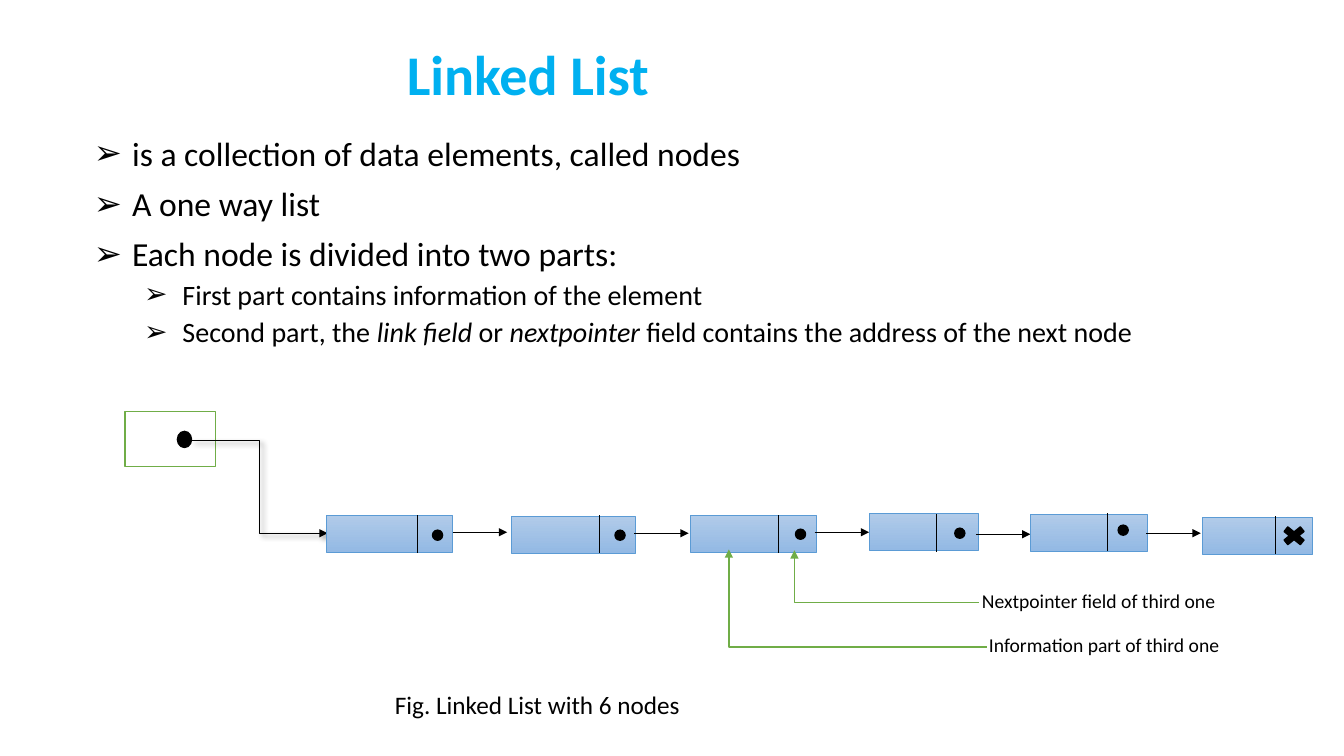
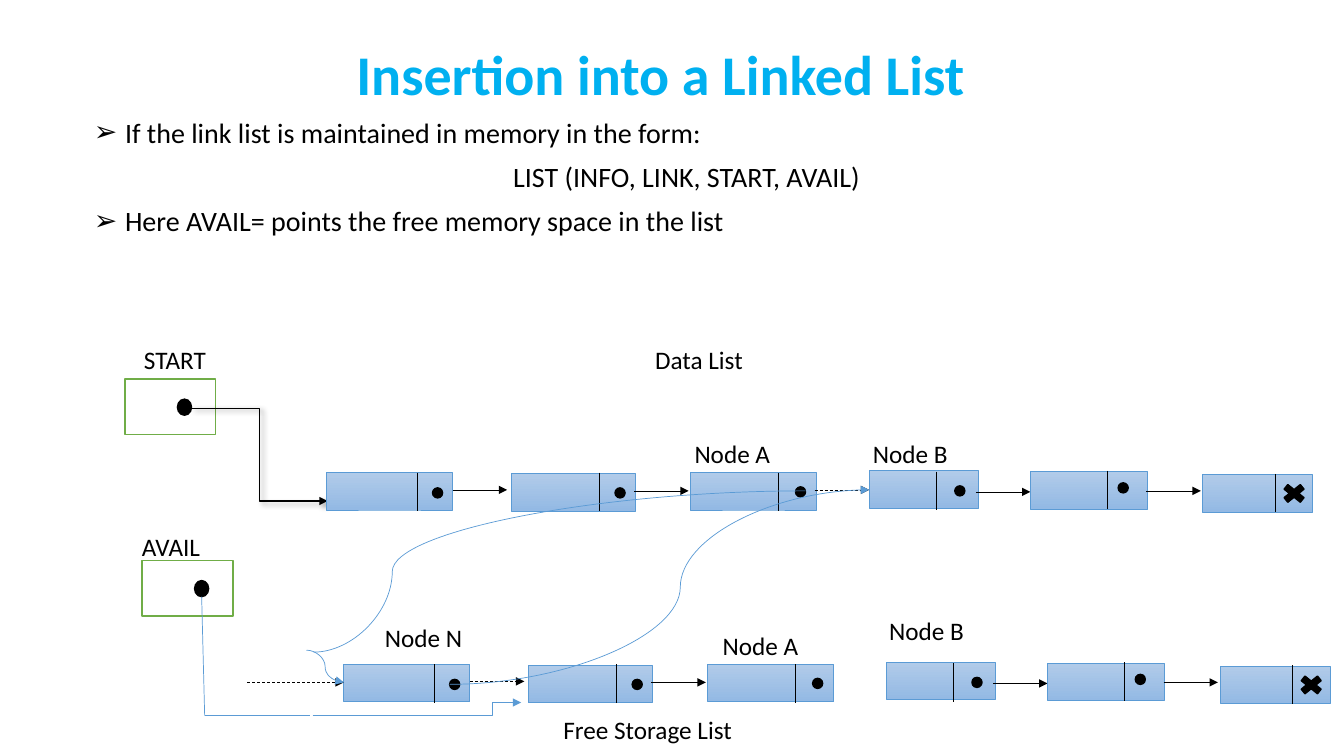
from dataclasses import dataclass

from lxml import etree
from pptx import Presentation
from pptx.dml.color import RGBColor
from pptx.enum.dml import MSO_LINE
from pptx.enum.shapes import MSO_CONNECTOR as Connector, MSO_SHAPE as Shape
from pptx.enum.text import MSO_ANCHOR as Anchor, MSO_AUTO_SIZE as AutoSize, PP_ALIGN as Align
from pptx.oxml.ns import qn
from pptx.util import Inches, Pt

FONT = "Calibri"
COLORS = {
    "title": "00B0F0",
    "ink": "000000",
    "paper": "FFFFFF",
    "green": "70AD47",
    "blue": "5B9BD5",
    "node_top": "B1CBE9",
    "node_bottom": "93B9E4",
}


@dataclass
class Node:
    left: float
    width: float
    rise: float  # offsets below are from the top of the chain
    divider: float
    divider_top: float
    dot: float = 0
    dot_top: float = 0
    arrow: float = 0
    arrow_top: float = 0


NODES = [
    Node(3.24, 1.25, 0, 4.14, 0, 4.29, 0.15, 4.49, 0.17),
    Node(5.07, 1.23, 0.01, 5.94, 0, 6.1, 0.15, 6.29, 0.18),
    Node(6.85, 1.25, 0, 7.72, 0, 7.89, 0.14, 8.08, 0.17),
    Node(8.62, 1.08, -0.02, 9.29, -0.01, 9.47, 0.13, 9.68, 0.19),
    Node(10.22, 1.16, -0.01, 10.98, -0.02, 11.09, 0.1, 11.37, 0.18),
    Node(11.93, 1.09, 0.02, 12.65, 0.01),
]
NODE_HEIGHT = 0.37
DIVIDER_HEIGHT = 0.38
ARROW_LENGTH = 0.54


def color(name):
    return RGBColor.from_string(COLORS[name])


def add_element(parent, tag, **attributes):
    element = etree.SubElement(parent, qn(tag))
    for key, value in attributes.items():
        element.set(key, str(value))
    return element


def style_runs(para, size, ink="ink", bold=False):
    for run in para.runs:
        run.font.name = FONT
        run.font.size = Pt(size)
        run.font.bold = bold
        run.font.color.rgb = color(ink)


def place(shape, left, top, width, height):
    shape.left, shape.top = Inches(left), Inches(top)
    shape.width, shape.height = Inches(width), Inches(height)


# Text
def add_slide(deck, title, title_width):
    slide = deck.slides.add_slide(deck.slide_layouts[0])
    box = slide.shapes.title
    place(box, 0.83, 0.31, title_width, 0.81)
    frame = box.text_frame
    frame.text = title
    frame.auto_size = AutoSize.NONE
    frame.vertical_anchor = Anchor.BOTTOM
    para = frame.paragraphs[0]
    para.alignment = Align.CENTER
    para.line_spacing = 0.9
    style_runs(para, 40, "title", True)
    return slide


def fill_body(slide, top, height, lines):
    """Each line is (text, level, size, indent); words between asterisks are italic.

    A line without an indent is centred and has no bullet.
    """
    body = slide.placeholders[1]
    place(body, 0.83, top, 11.96, height)
    frame = body.text_frame
    frame.auto_size = AutoSize.NONE
    frame.vertical_anchor = Anchor.TOP
    for index, (text, level, size, indent) in enumerate(lines):
        para = frame.add_paragraph() if index else frame.paragraphs[0]
        para.level = level
        props = para._p.get_or_add_pPr()
        props.set("marL", str(Inches(indent + 0.5 * level)))
        props.set("indent", str(Inches(-indent)))
        if indent:
            add_element(props, "a:buChar", char="➢")
        else:
            add_element(props, "a:buNone")
        para.alignment = Align.JUSTIFY if indent else Align.CENTER
        para.line_spacing = 0.9
        para.space_before = Pt((5 if level else 10) if index else 0)
        for part, words in enumerate(text.split("*")):
            run = para.add_run()
            run.text = words
            run.font.italic = part % 2 == 1
        style_runs(para, size)


def add_label(slide, text, left, top, width=1, size=18, align=Align.LEFT, anchor=Anchor.TOP):
    box = slide.shapes.add_textbox(Inches(left), Inches(top), Inches(width), Inches(0.4))
    frame = box.text_frame
    frame.word_wrap = True
    frame.vertical_anchor = anchor
    frame.text = text
    frame.paragraphs[0].alignment = align
    style_runs(frame.paragraphs[0], size)


# Shapes and lines
def add_box(slide, kind, left, top, width, height, fill="ink", line="ink", weight=1):
    shape = slide.shapes.add_shape(
        kind, Inches(left), Inches(top), Inches(width), Inches(height))
    shape.shadow.inherit = False
    if fill == "gradient":
        shape.fill.gradient()
        shape.fill.gradient_angle = 270
        for stop, name in zip(shape.fill.gradient_stops, ("node_top", "node_bottom")):
            stop.color.rgb = color(name)
    else:
        shape.fill.solid()
        shape.fill.fore_color.rgb = color(fill)
    shape.line.color.rgb = color(line)
    shape.line.width = Pt(weight)


def add_line(slide, start, end, kind=Connector.STRAIGHT, ink="ink", weight=0.5,
             arrow=False, dashed=False, bend=None, corner=False, shadow=False):
    x1, y1, x2, y2 = (Inches(value) for value in (*start, *end))
    line = slide.shapes.add_connector(kind, x1, y1, x2, y2)
    line.line.color.rgb = color(ink)
    line.line.width = Pt(weight)
    if dashed:
        line.line.dash_style = MSO_LINE.DASH
    props = line._element.spPr
    if arrow:
        add_element(props.find(qn("a:ln")), "a:tailEnd", type="triangle")
    geometry = props.find(qn("a:prstGeom"))
    if corner:
        geometry.set("prst", "bentConnector2")
    if bend is not None:
        guides = geometry.find(qn("a:avLst"))
        if guides is None:
            guides = add_element(geometry, "a:avLst")
        add_element(guides, "a:gd", name="adj1", fmla=f"val {round(bend * 100000)}")
    effects = add_element(props, "a:effectLst")
    if shadow:
        cast = add_element(effects, "a:outerShdw", blurRad=Pt(4), dist=Pt(3),
                           dir=45 * 60000, rotWithShape=0)
        add_element(add_element(cast, "a:srgbClr", val=COLORS["ink"]), "a:alpha", val=40000)


# Linked list parts
def add_pointer(slide, left, top):
    add_box(slide, Shape.RECTANGLE, left, top, 0.9, 0.55, "paper", "green")
    add_box(slide, Shape.OVAL, left + 0.52, top + 0.2, 0.14, 0.16)


def add_start(slide, top):
    add_pointer(slide, 1.24, top)
    add_line(slide, (1.9, top + 0.29), (3.25, top + 1.21), Connector.ELBOW,
             weight=1, arrow=True, shadow=True)


def add_chain(slide, top, shift=0, dashed=None, missing=None):
    """Draw the six nodes; dashed and missing are indexes of arrows."""
    for index, node in enumerate(NODES):
        add_box(slide, Shape.RECTANGLE, node.left + shift, top + node.rise,
                node.width, NODE_HEIGHT, "gradient", "blue", 0.5)
        divider, divider_top = node.divider + shift, top + node.divider_top
        add_line(slide, (divider, divider_top), (divider, divider_top + DIVIDER_HEIGHT))
        if node is NODES[-1]:
            add_box(slide, Shape.MATH_MULTIPLY, divider + 0.03, top + 0.08, 0.31, 0.25)
            continue
        add_box(slide, Shape.OVAL, node.dot + shift, top + node.dot_top, 0.1, 0.1)
        if index != missing:
            start, level = node.arrow + shift, top + node.arrow_top
            add_line(slide, (start, level), (start + ARROW_LENGTH, level),
                     arrow=True, dashed=index == dashed)


def build_linked_list(deck):
    slide = add_slide(deck, "Linked List", 8.81)
    fill_body(slide, 1.31, 5.48, [
        ("is a collection of data elements, called nodes", 0, 24, 0.38),
        ("A one way list", 0, 24, 0.38),
        ("Each node is divided into two parts:", 0, 24, 0.38),
        ("First part contains information of the element", 1, 20, 0.38),
        ("Second part, the *link field* or *nextpointer* field contains "
         "the address of the next node", 1, 20, 0.38),
    ])
    add_start(slide, 4.08)
    add_chain(slide, 5.11)
    # Callouts for the third node
    for text, left, top, start, end in [
        ("Nextpointer field of third one", 9.64, 5.76, (9.71, 5.98), (7.88, 5.46)),
        ("Information part of third one", 9.71, 6.2, (9.79, 6.42), (7.23, 5.45)),
    ]:
        add_label(slide, text, left, top, 2.63, 14, Align.JUSTIFY, Anchor.MIDDLE)
        add_line(slide, start, end, Connector.ELBOW, "green", 1, arrow=True, corner=True)
    add_label(slide, "Fig. Linked List with 6 nodes", 3.07, 6.79, 4.52, align=Align.CENTER)


def build_insertion(deck):
    slide = add_slide(deck, "Insertion into a Linked List", 11.44)
    fill_body(slide, 1.13, 2.1, [
        ("If the link list is maintained in memory in the form:", 0, 20, 0.31),
        ("LIST (INFO, LINK, START, AVAIL)", 0, 20, 0),
        ("Here AVAIL= points the free memory space in the list", 0, 20, 0.31),
    ])
    # Data list and free storage list
    add_start(slide, 3.76)
    add_chain(slide, 4.69, dashed=2)
    add_pointer(slide, 1.41, 5.56)
    add_chain(slide, 6.59, shift=0.17, dashed=0, missing=2)
    add_line(slide, (2.45, 6.77), (3.41, 6.77), arrow=True, dashed=True)
    for text, left, top, width in [
        ("START", 1.33, 3.37, 1),
        ("Data List", 6.4, 3.37, 1.3),
        ("AVAIL", 1.31, 5.22, 1),
        ("Node A", 6.79, 4.3, 1),
        ("Node B", 8.56, 4.3, 1),
        ("Node N", 3.72, 6.12, 1),
        ("Node A", 7.07, 6.2, 1),
        ("Node B", 8.72, 6.06, 1),
        ("Free Storage List", 5.49, 7.04, 2.23),
    ]:
        add_label(slide, text, left, top, width)
    # New links through node N
    for start, end, bend, arrow in [
        ((7.99, 4.87), (3.11, 6.47), 0.84, False),
        ((3.04, 6.45), (3.41, 6.77), 0.5, True),
        ((4.46, 6.79), (8.62, 4.86), 0.55, True),
    ]:
        add_line(slide, start, end, Connector.CURVE, "blue", arrow=arrow, bend=bend)
    # AVAIL moves on to the next free node
    add_line(slide, (2, 5.92), (2.03, 7.1), ink="blue")
    add_line(slide, (2.03, 7.1), (3.07, 7.1), ink="blue")
    add_line(slide, (3.1, 7.1), (5.17, 6.97), Connector.ELBOW, "blue", arrow=True, bend=0.86)


def main():
    deck = Presentation()
    deck.slide_width, deck.slide_height = Inches(13.33), Inches(7.5)
    build_linked_list(deck)
    build_insertion(deck)
    deck.save("out.pptx")


if __name__ == "__main__":
    main()
